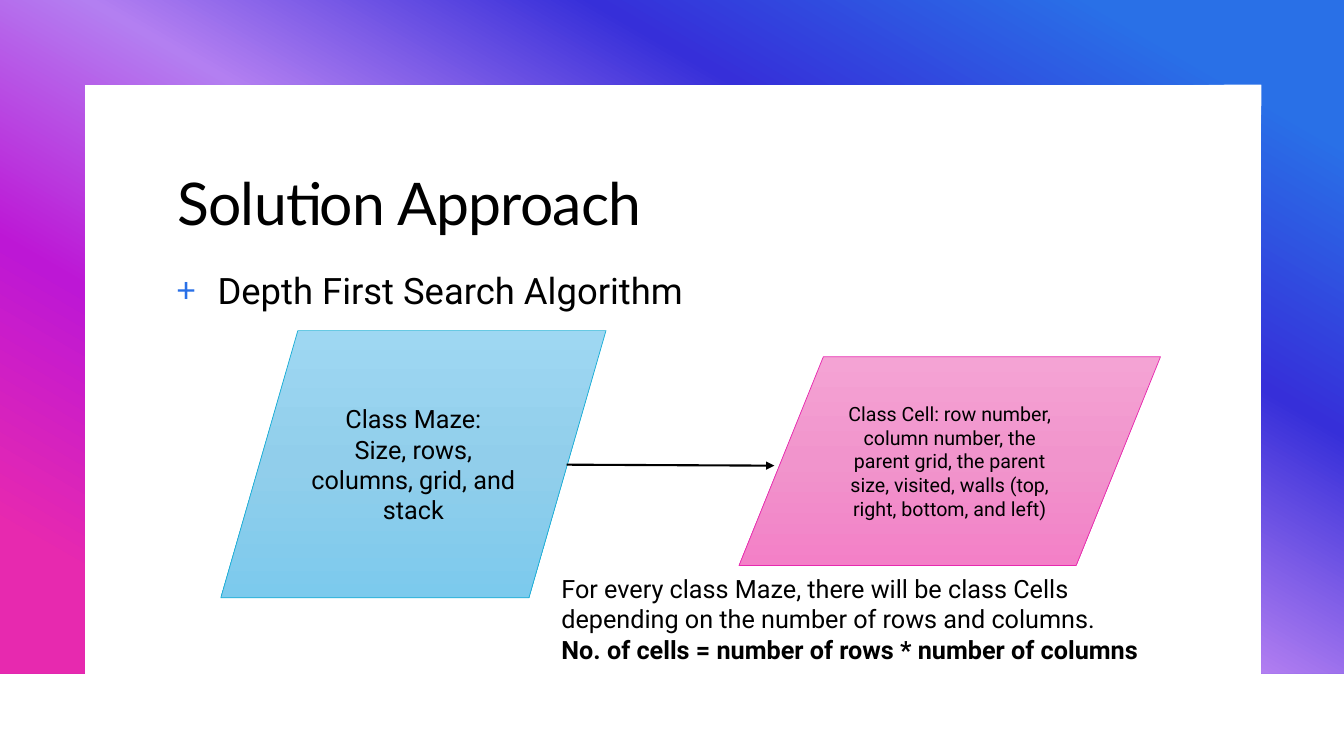
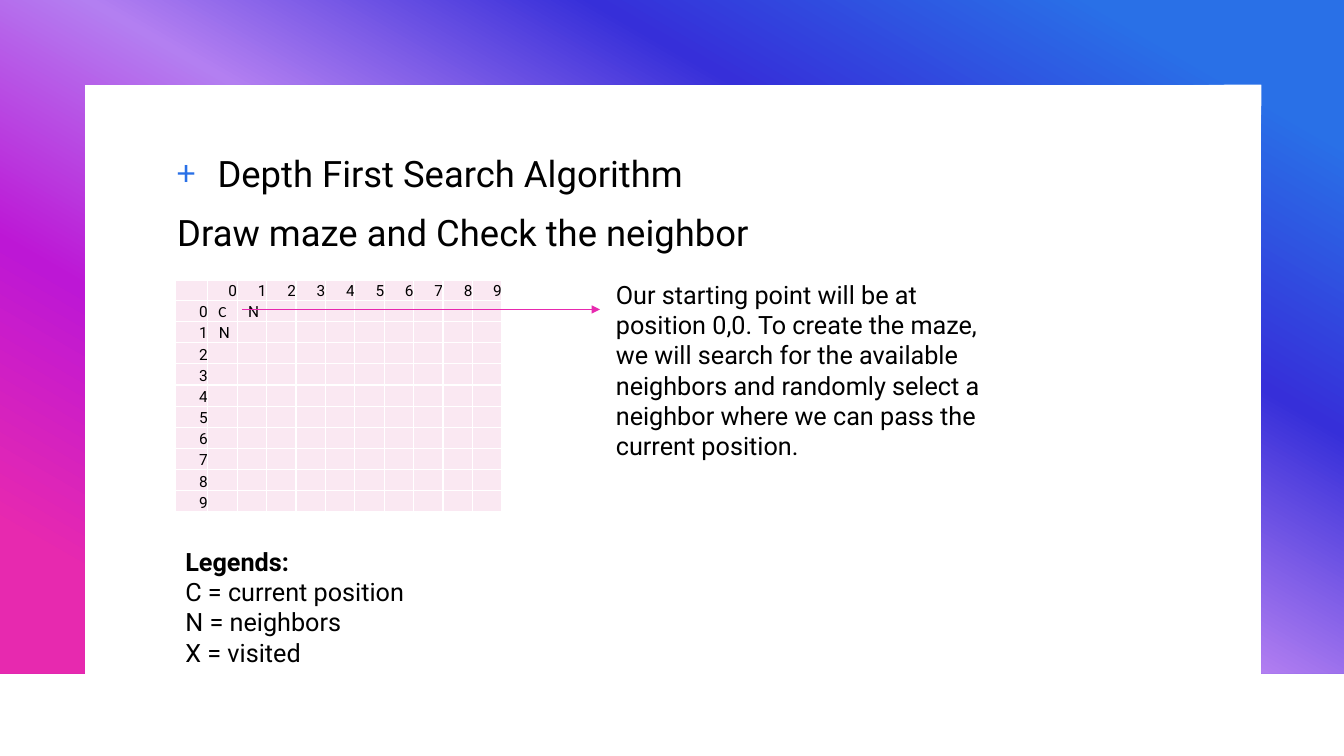
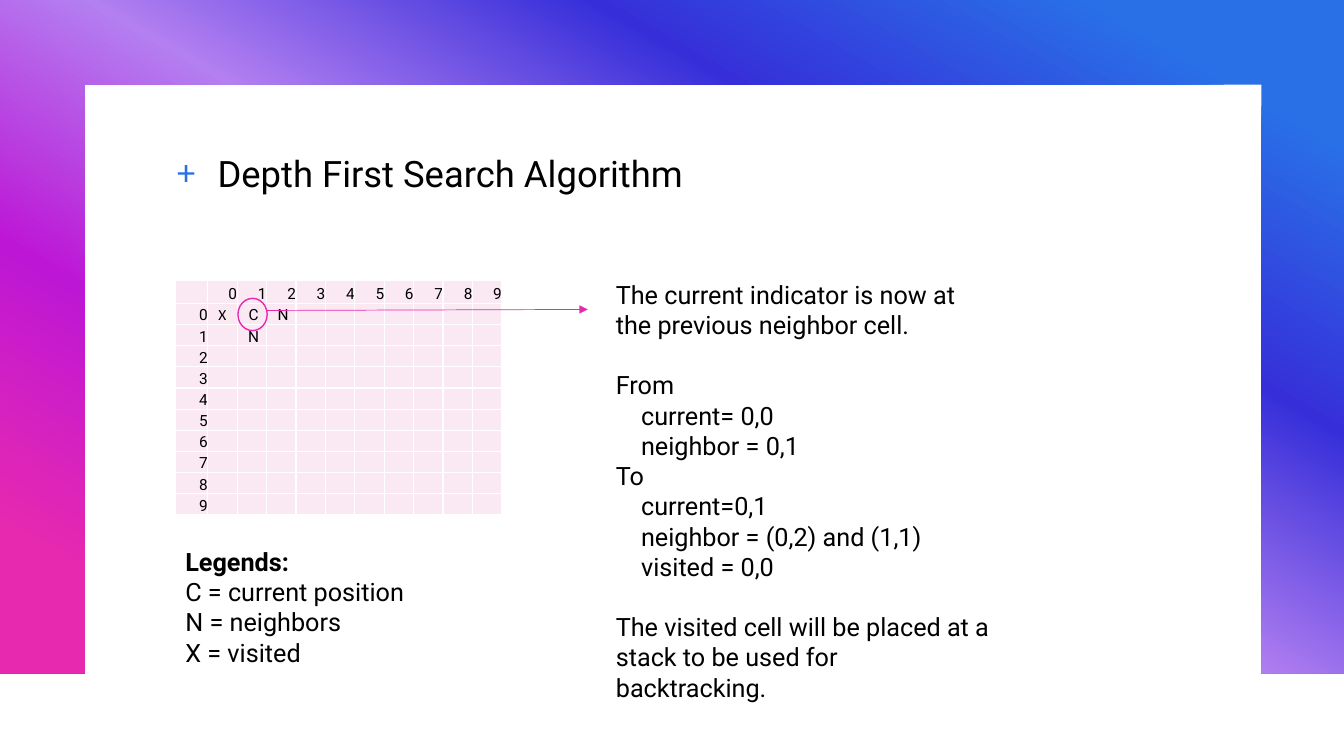
from dataclasses import dataclass

from lxml import etree
from pptx import Presentation
from pptx import util as u
from pptx.dml.color import RGBColor
from pptx.enum import shapes, text
from pptx.oxml import ns
from pptx.util import Inches


@dataclass(frozen=True)
class Theme:
    ink: str = "000000"
    white: str = "FFFFFF"
    blue: str = "2970E7"
    pink: str = "E729AF"
    cyan: str = "17ADD5"
    cell: str = "FAE8F2"
    frame: tuple = ((10, "2970E7"), (30, "362FD9"), (50, "B37FF1"),
                    (70, "BD17D5"), (90, "E729AF"))
    maze_fill: tuple = ((0, "9ED7F2"), (50, "91CEEB"), (100, "7CCAED"))
    cell_fill: tuple = ((0, "F4A3D4"), (50, "F194CC"), (100, "F380C7"))
    title_font: str = "Lato"
    body_font: str = "Roboto"
    mark_font: str = "Calibri"
    title_size: int = 42
    lead_size: int = 26
    text_size: int = 18
    small_size: int = 14
    grid_size: int = 11


@dataclass(frozen=True)
class Line:
    """One paragraph and how it differs from plain body text."""
    words: str
    size: int = 18
    font: str = "Roboto"
    bold: bool = False
    indent: float = 0
    before: float = 0
    spacing: float = 1.0
    bullet: str = ""


THEME = Theme()
HEADING = Line("Depth First Search Algorithm", THEME.lead_size,
               before=9, spacing=1.05, bullet="+")
LEGENDS = [Line("Legends:", bold=True), Line("C = current position"),
           Line("N = neighbors"), Line("X = visited")]
TOP_HEADING_BOX = (1.66, 1.43, 10, 5.24)
CENTER = text.PP_ALIGN.CENTER


# XML helpers
def sub(parent, tag, **attributes):
    return etree.SubElement(parent, ns.qn(tag), attributes)


def add_solid(parent, color):
    sub(sub(parent, "a:solidFill"), "a:srgbClr", val=color)


def set_gradient(shape, stops, angle):
    shape.fill.gradient()
    shape.fill.gradient_angle = 360 - angle
    stop_list = shape.fill._xPr.find(ns.qn("a:gradFill")).find(ns.qn("a:gsLst"))
    for old in list(stop_list):
        stop_list.remove(old)
    for percent, color in stops:
        stop = sub(stop_list, "a:gs", pos=str(percent * 1000))
        sub(stop, "a:srgbClr", val=color)


# Text
def style(paragraph, size, font):
    paragraph.font.size = u.Pt(size)
    paragraph.font.name = font
    paragraph.font.color.rgb = RGBColor.from_string(THEME.ink)


def add_bullet(paragraph, mark):
    props = paragraph._p.get_or_add_pPr()
    props.set("marL", str(Inches(0.4)))
    props.set("indent", str(Inches(-0.4)))
    color = etree.Element(ns.qn("a:buClr"))
    sub(color, "a:srgbClr", val=THEME.blue)
    font = etree.Element(ns.qn("a:buFont"), typeface=THEME.mark_font)
    char = etree.Element(ns.qn("a:buChar"), char=mark)
    defaults = props.find(ns.qn("a:defRPr"))
    for part in (color, font, char):
        defaults.addprevious(part)


def write(frame, lines, align=text.PP_ALIGN.LEFT):
    frame.word_wrap = True
    for index, line in enumerate(lines):
        paragraph = frame.add_paragraph() if index else frame.paragraphs[0]
        paragraph.text = line.words
        paragraph.alignment = align
        paragraph.line_spacing = line.spacing
        paragraph.space_before = u.Pt(line.before)
        style(paragraph, line.size, line.font)
        paragraph.font.bold = line.bold
        if line.indent:
            paragraph._p.get_or_add_pPr().set("marL", str(Inches(line.indent)))
        if line.bullet:
            add_bullet(paragraph, line.bullet)


def add_text(slide, box, lines):
    frame = slide.shapes.add_textbox(*map(Inches, box)).text_frame
    write(frame, lines)
    return frame


# Shapes
def add_shape(slide, kind, box, color, width):
    shape = slide.shapes.add_shape(kind, *map(Inches, box))
    shape.shadow.inherit = False
    shape.line.color.rgb = RGBColor.from_string(color)
    shape.line.width = u.Pt(width)
    return shape


def add_class_block(slide, box, stops, outline, lines):
    block = add_shape(slide, shapes.MSO_SHAPE.FLOWCHART_DATA, box, outline, 0.5)
    set_gradient(block, stops, 90)
    block.text_frame.vertical_anchor = text.MSO_ANCHOR.MIDDLE
    write(block.text_frame, lines, CENTER)


def add_arrow(slide, start, end, color, width):
    arrow = slide.shapes.add_connector(shapes.MSO_CONNECTOR.STRAIGHT,
                                       *map(Inches, start + end))
    arrow.line.color.rgb = RGBColor.from_string(color)
    arrow.line.width = u.Pt(width)
    sub(arrow.line._get_or_add_ln(), "a:tailEnd", type="triangle")
    sub(arrow._element.spPr, "a:effectLst")


def add_frame(slide, layout):
    """Draw the gradient frame and hand it to the layout all slides use."""
    corners = [(13.33, 0), (13.33, 6.68), (12.51, 6.68), (12.51, 0.84),
               (0.84, 0.84), (0.84, 6.68), (0, 6.68)]
    outline = slide.shapes.build_freeform(0, 0)
    outline.add_line_segments([(Inches(x), Inches(y)) for x, y in corners])
    frame = outline.convert_to_shape()
    frame.shadow.inherit = False
    frame.line.fill.background()
    set_gradient(frame, THEME.frame, 120)
    layout.shapes._spTree.append(frame._element)


# Maze grid
def add_borders(cell):
    props = cell._tc.get_or_add_tcPr()
    for place, side in enumerate(("a:lnL", "a:lnR", "a:lnT", "a:lnB")):
        border = etree.Element(ns.qn(side), w=str(u.Pt(1)))
        add_solid(border, THEME.white)
        props.insert(place, border)


def fill_cell(cell, words, align, font):
    cell.fill.solid()
    cell.fill.fore_color.rgb = RGBColor.from_string(THEME.cell)
    add_borders(cell)
    cell.margin_left = cell.margin_right = 0
    cell.margin_top = cell.margin_bottom = 0
    cell.vertical_anchor = text.MSO_ANCHOR.BOTTOM
    paragraph = cell.text_frame.paragraphs[0]
    paragraph.text = words
    paragraph.alignment = align
    style(paragraph, THEME.grid_size, font)
    if not words:
        end = paragraph._p.get_or_add_endParaRPr()
        end.set("sz", str(THEME.grid_size * 100))


def add_maze(slide, header_height, marks, size=10):
    """Number the rows and columns; marks maps (row, column) to a letter."""
    width, label_width, row_height = 3.24, 0.32, 0.21
    height = header_height + size * row_height
    maze = slide.shapes.add_table(size + 1, size + 1, Inches(1.74), Inches(2.78),
                                  Inches(width), Inches(height)).table
    maze.first_row = maze.horz_banding = False
    for i in range(size + 1):
        maze.columns[i].width = Inches((width - label_width) / size if i else label_width)
        maze.rows[i].height = Inches(row_height if i else header_height)
    for row in range(-1, size):
        for column in range(-1, size):
            cell = maze.cell(row + 1, column + 1)
            if (row < 0) != (column < 0):
                fill_cell(cell, str(max(row, column)), text.PP_ALIGN.RIGHT,
                          THEME.body_font)
            else:
                at_start = (row, column) == (0, 0)
                fill_cell(cell, marks.get((row, column), ""), CENTER,
                          THEME.mark_font if at_start else THEME.body_font)


def add_legends(slide):
    add_text(slide, (1.74, 5.37, 4.92, 1.31), LEGENDS)


# Slides
def build_approach(slide):
    title = add_text(slide, (1.66, 1.66, 10, 1.47),
                     [Line("Solution Approach", THEME.title_size,
                           THEME.title_font, spacing=0.95)])
    title.paragraphs[0].runs[0]._r.get_or_add_rPr().set("spc", "-50")
    add_text(slide, (1.66, 2.59, 10, 4.22), [HEADING])
    add_class_block(slide, (2.19, 3.28, 3.82, 2.65), THEME.maze_fill, THEME.cyan,
                    [Line("Class Maze:"),
                     Line("Size, rows, columns, grid, and stack")])
    add_class_block(slide, (7.33, 3.54, 4.18, 2.07), THEME.cell_fill, THEME.pink,
                    [Line("Class Cell: row number, column number, the parent grid, "
                          "the parent size, visited, walls (top, right, bottom, "
                          "and left)", THEME.small_size)])
    add_arrow(slide, (5.62, 4.61), (7.68, 4.62), THEME.ink, 1.5)
    add_text(slide, (5.47, 5.64, 6.3, 1.01),
             [Line("For every class Maze, there will be class Cells depending on "
                   "the number of rows and columns."),
              Line("No. of cells = number of rows * number of columns", bold=True)])


def build_first_step(slide):
    add_text(slide, TOP_HEADING_BOX,
             [HEADING, Line("Draw maze and Check the neighbor", THEME.lead_size,
                            before=9, spacing=1.05)])
    add_maze(slide, 0.2, {(0, 0): "C", (0, 1): "\u00a0N", (1, 0): "\u00a0N"})
    add_arrow(slide, (2.4, 3.07), (5.95, 3.07), THEME.pink, 0.5)
    add_text(slide, (6.01, 2.72, 3.91, 1.92),
             [Line("Our starting point will be at position 0,0. To create the maze, "
                   "we will search for the available neighbors and randomly select "
                   "a neighbor where we can pass the current position.")])
    add_legends(slide)


def build_second_step(slide):
    add_text(slide, TOP_HEADING_BOX, [HEADING])
    add_maze(slide, 0.23, {(0, 0): "X", (0, 1): "\u00a0C", (0, 2): "\u00a0N",
                           (1, 1): "\u00a0N"})
    step, gap = 0.25, 21.5
    add_text(slide, (6.01, 2.72, 3.91, 4.64),
             [Line("The current indicator is now at the previous neighbor cell."),
              Line("From", before=gap),
              Line("current= 0,0", indent=step),
              Line("neighbor = 0,1", indent=step),
              Line("To"),
              Line("current=0,1", indent=step),
              Line("neighbor = (0,2) and (1,1)", indent=step),
              Line("visited = 0,0", indent=step),
              Line("The visited cell will be placed at a stack to be used for "
                   "backtracking.", before=gap)])
    add_legends(slide)
    add_arrow(slide, (2.65, 3.08), (5.83, 3.07), THEME.pink, 0.5)
    ring = add_shape(slide, shapes.MSO_SHAPE.OVAL, (2.36, 2.96, 0.29, 0.32),
                     THEME.pink, 1)
    ring.fill.background()


def main():
    deck = Presentation()
    deck.slide_width, deck.slide_height = Inches(13.33), Inches(7.5)
    blank = deck.slide_layouts[6]
    builders = (build_approach, build_first_step, build_second_step)
    slides = [deck.slides.add_slide(blank) for _ in builders]
    add_frame(slides[0], blank)
    for build, slide in zip(builders, slides):
        build(slide)
    deck.save("out.pptx")


main()
